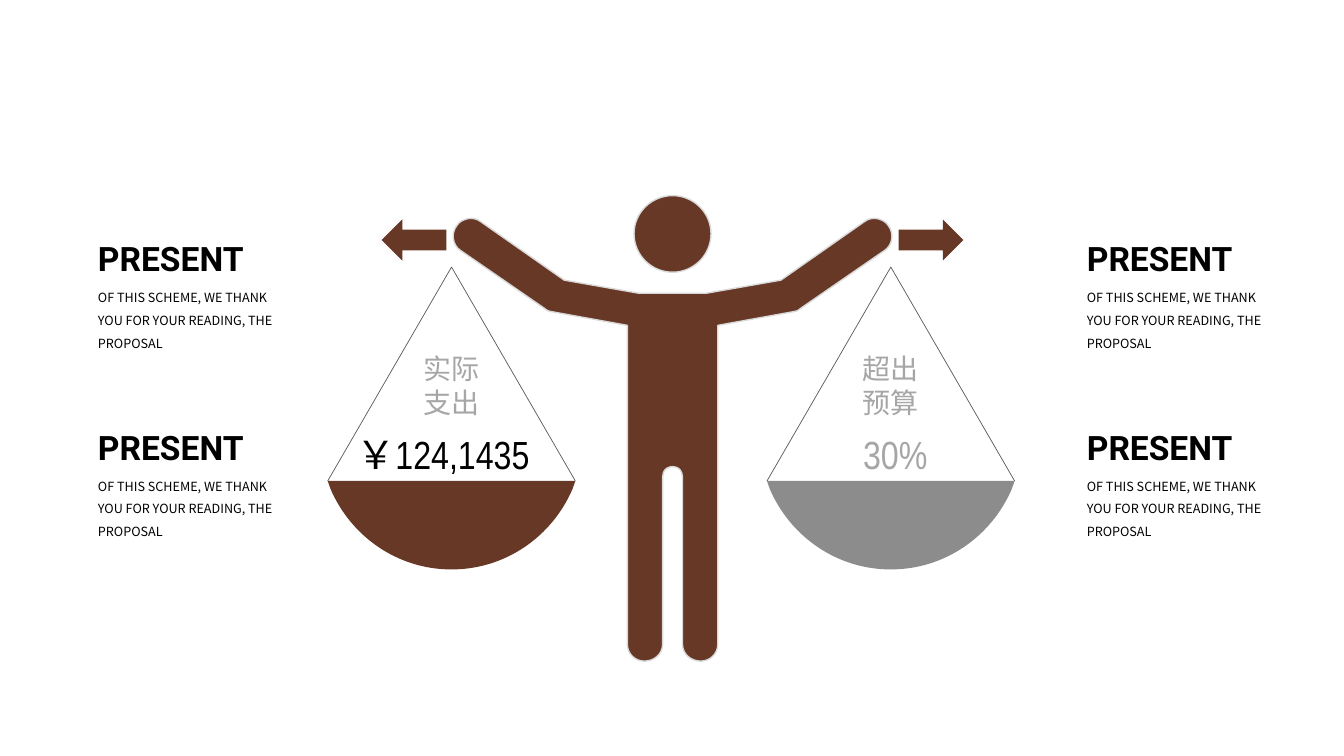
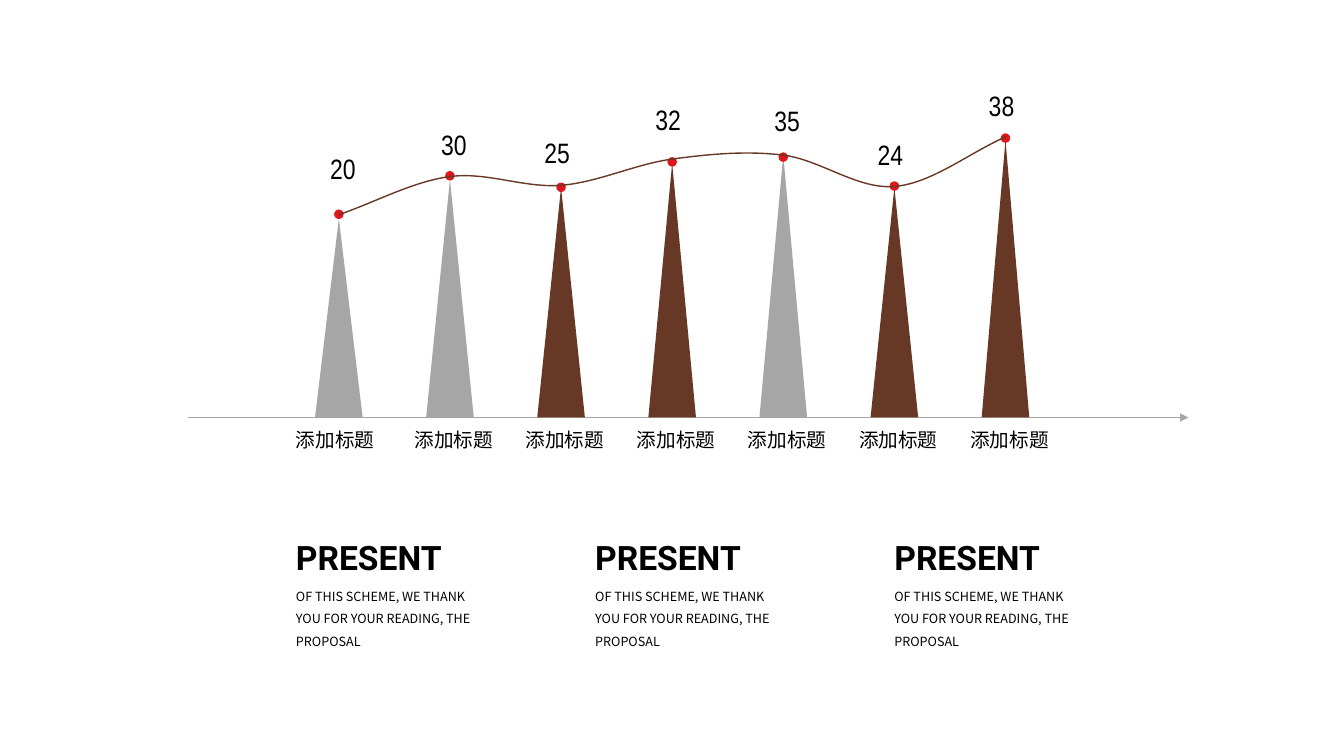
from dataclasses import dataclass
from typing import Optional

from lxml.etree import SubElement
from pptx import Presentation
from pptx.dml.color import RGBColor
from pptx.enum.shapes import MSO_CONNECTOR, MSO_SHAPE
from pptx.enum.text import MSO_AUTO_SIZE, PP_ALIGN
from pptx.oxml.ns import qn
from pptx.shapes.autoshape import Shape
from pptx.slide import Slide
from pptx.util import Cm, Pt

Point = tuple[float, float]
Segment = tuple[Point, ...]  # one point: straight line; three points: cubic curve
Contour = list[Segment]


@dataclass(frozen=True)
class Theme:
    brown: RGBColor = RGBColor(0x66, 0x38, 0x25)
    grey: RGBColor = RGBColor(0xA6, 0xA6, 0xA6)
    pan_grey: RGBColor = RGBColor(0x8C, 0x8C, 0x8C)
    outline: RGBColor = RGBColor(0xD9, 0xD9, 0xD9)
    string: RGBColor = RGBColor(0x59, 0x59, 0x59)
    red: RGBColor = RGBColor(0xDE, 0x17, 0x1E)
    black: RGBColor = RGBColor(0, 0, 0)
    heading_font: str = "Roboto"
    name_font: str = "Roboto Condensed"
    body_font: str = "Noto Sans CJK SC"
    number_font: str = "Arial Narrow"
    amount_size: int = 28
    heading_size: int = 24
    name_size: int = 20
    value_size: int = 20
    caption_size: int = 14
    body_size: int = 9


THEME = Theme()


@dataclass(frozen=True)
class TextStyle:
    font: str
    size: int
    color: RGBColor = THEME.black
    bold: bool = False
    align: PP_ALIGN = PP_ALIGN.CENTER
    line_spacing: float = 1.0
    wrap: bool = True


HEADING = TextStyle(THEME.heading_font, THEME.heading_size, bold=True,
                    align=PP_ALIGN.LEFT, wrap=False)
BODY = TextStyle(THEME.body_font, THEME.body_size, align=PP_ALIGN.LEFT, line_spacing=1.5)
NAME = TextStyle(THEME.name_font, THEME.name_size, THEME.grey)
BLACK_AMOUNT = TextStyle(THEME.number_font, THEME.amount_size)
GREY_AMOUNT = TextStyle(THEME.number_font, THEME.amount_size, THEME.grey)
VALUE = TextStyle(THEME.number_font, THEME.value_size)
CAPTION = TextStyle(THEME.body_font, THEME.caption_size)


@dataclass(frozen=True)
class Pan:
    center: float
    color: RGBColor
    name: tuple[str, str]
    amount: str
    amount_left: float
    amount_width: float
    amount_style: TextStyle


@dataclass(frozen=True)
class Peak:
    value: int
    color: RGBColor
    top: float
    dot: float
    trend: float
    value_top: float
    caption_shift: float = 0.1


MIDDLE = 16.95
ARM_REACH = 5.7
PAN_TOP = 12.12
PAN_HALF = 3.12

# Right halves, measured from the vertical middle line and ending on it.
BODY_HALF: Contour = [
    ((0.85, 7.39),), ((2.73, 7.06),), ((4.83, 5.59),),
    ((4.93, 5.51), (5.05, 5.49), (5.16, 5.51)),
    ((5.28, 5.54), (5.38, 5.59), (5.44, 5.69)),
    ((5.59, 5.89), (5.54, 6.17), (5.36, 6.3)),
    ((3.23, 7.77),),
    ((3.18, 7.82), (3.12, 7.85), (3.07, 7.85)),
    ((1.14, 8.2),), ((1.14, 16.23),),
    ((1.14, 16.48), (0.94, 16.66), (0.71, 16.66)),
    ((0.46, 16.66), (0.25, 16.48), (0.25, 16.23)),
    ((0.25, 12.01),), ((0.23, 11.91),),
    ((0.2, 11.81), (0.1, 11.76), (0, 11.76)),
]
HEAD_HALF: Contour = [
    ((0, 4.93),),
    ((0.53, 4.93), (0.97, 5.36), (0.97, 5.89)),
    ((0.97, 6.43), (0.53, 6.86), (0, 6.86)),
]
PAN_HALF_OUTLINE: Contour = [
    ((PAN_HALF, PAN_TOP),), ((3.05, 12.32),),
    ((2.54, 13.51), (1.37, 14.35), (0, 14.35)),
]
PANS = [
    Pan(11.38, THEME.brown, ("实际", "支出"), "￥124,1435", 7.73, 6.86, BLACK_AMOUNT),
    Pan(22.45, THEME.pan_grey, ("超出", "预算"), "30%", 20.78, 3.56, GREY_AMOUNT),
]

AXIS_Y = 10.52
FIRST_PEAK = 8.54
PEAK_STEP = 2.8
PEAK_WIDTH = 1.2
DOT_SIZE = 0.24
LABEL_WIDTH = 2.6
PEAKS = [
    Peak(20, THEME.grey, 5.51, 5.4, 5.41, 3.73, -0.09),
    Peak(30, THEME.grey, 4.52, 4.43, 4.45, 3.12),
    Peak(25, THEME.brown, 4.72, 4.72, 4.67, 3.31),
    Peak(32, THEME.brown, 4.11, 4.08, 4.01, 2.49),
    Peak(35, THEME.grey, 3.91, 3.96, 3.91, 2.51),
    Peak(24, THEME.brown, 4.72, 4.69, 4.7, 3.36),
    Peak(38, THEME.brown, 3.53, 3.48, 3.45, 2.12),
]


def mirrored(half: Contour, center: float) -> Contour:
    """Complete a right half with its reflection about the center line."""
    whole = list(half)
    for before, segment in reversed(list(zip(half, half[1:]))):
        backwards = (*reversed(segment[:-1]), before[-1])
        whole.append(tuple((-x, y) for x, y in backwards))
    return [tuple((center + x, y) for x, y in segment) for segment in whole]


def smooth_curve(knots: list[Point]) -> Contour:
    """Run a Catmull-Rom curve through evenly spaced knots."""
    heights = [y for _, y in knots]
    heights = [2 * heights[0] - heights[1], *heights, 2 * heights[-1] - heights[-2]]
    slopes = [(after - before) / 6 for before, after in zip(heights, heights[2:])]
    contour: Contour = [(knots[0],)]
    for index, ((x0, y0), (x1, y1)) in enumerate(zip(knots, knots[1:])):
        third = (x1 - x0) / 3
        contour.append((
            (x0 + third, y0 + slopes[index]),
            (x1 - third, y1 - slopes[index + 1]),
            (x1, y1),
        ))
    return contour


def paint(shape: Shape, fill: Optional[RGBColor], line: Optional[RGBColor] = None,
          width: float = 1) -> None:
    shape.shadow.inherit = False
    if fill is None:
        shape.fill.background()
    else:
        shape.fill.solid()
        shape.fill.fore_color.rgb = fill
    if line is None:
        shape.line.fill.background()
    else:
        shape.line.color.rgb = line
        shape.line.width = Pt(width)


def bend(shape: Shape, segments: list[Segment]) -> None:
    """Merge the three straight steps of every curve segment into one cubic curve."""
    steps = iter(list(shape._element.iter(qn("a:lnTo"))))
    for segment in segments:
        first, *others = [next(steps) for _ in segment]
        if others:
            first.tag = qn("a:cubicBezTo")
        for step in others:
            first.append(step[0])
            step.getparent().remove(step)


def add_outline(page: Slide, contours: list[Contour], fill: Optional[RGBColor],
                line: Optional[RGBColor] = None, width: float = 1) -> None:
    """Draw a freeform, closed when it is filled."""
    start_x, start_y = contours[0][0][0]
    builder = page.shapes.build_freeform(Cm(start_x), Cm(start_y))
    for index, contour in enumerate(contours):
        if index:
            x, y = contour[0][0]
            builder.move_to(Cm(x), Cm(y))
        corners = [(Cm(x), Cm(y)) for segment in contour[1:] for x, y in segment]
        builder.add_line_segments(corners, close=fill is not None)
    shape = builder.convert_to_shape()
    bend(shape, [segment for contour in contours for segment in contour[1:]])
    paint(shape, fill, line, width)


def add_preset(page: Slide, kind: MSO_SHAPE, left: float, top: float, width: float,
               height: float, fill: RGBColor) -> None:
    paint(page.shapes.add_shape(kind, Cm(left), Cm(top), Cm(width), Cm(height)), fill)


def add_text(page: Slide, lines: tuple[str, ...], left: float, top: float, width: float,
             height: float, style: TextStyle, insets: Point = (0.25, 0.13)) -> None:
    box = page.shapes.add_textbox(Cm(left), Cm(top), Cm(width), Cm(height))
    frame = box.text_frame
    frame.word_wrap = style.wrap
    frame.auto_size = MSO_AUTO_SIZE.SHAPE_TO_FIT_TEXT
    frame.margin_left = frame.margin_right = Cm(insets[0])
    frame.margin_top = frame.margin_bottom = Cm(insets[1])
    for index, line in enumerate(lines):
        para = frame.add_paragraph() if index else frame.paragraphs[0]
        para.alignment = style.align
        para.line_spacing = style.line_spacing
        span = para.add_run()
        span.text = line
        span.font.name = style.font
        span.font.size = Pt(style.size)
        span.font.bold = style.bold
        span.font.color.rgb = style.color
        SubElement(span.font._element, qn("a:ea"), typeface=THEME.body_font)


def add_message(page: Slide, left: float, top: float) -> None:
    add_text(page, ("PRESENT",), left, top, 4.55, 1.27, HEADING)
    add_text(page, ("OF THIS SCHEME, WE THANK YOU FOR YOUR READING, THE PROPOSAL",),
             left, top + 1.12, 5.36, 1.42, BODY)


def add_pan(page: Slide, pan: Pan) -> None:
    add_outline(page, [mirrored(PAN_HALF_OUTLINE, pan.center)], pan.color)
    string: Contour = [((pan.center - PAN_HALF, PAN_TOP),), ((pan.center, 6.73),),
                       ((pan.center + PAN_HALF, PAN_TOP),)]
    add_outline(page, [string], None, THEME.string, 0.5)
    add_text(page, (pan.amount,), pan.amount_left, 10.72, pan.amount_width, 1.45,
             pan.amount_style)
    add_text(page, pan.name, pan.center - 1.84, 8.73, 3.68, 1.96, NAME)


def add_axis(page: Slide) -> None:
    axis = page.shapes.add_connector(
        MSO_CONNECTOR.STRAIGHT, Cm(4.73), Cm(AXIS_Y), Cm(29.95), Cm(AXIS_Y))
    axis.line.color.rgb = THEME.grey
    axis.line.width = Pt(0.5)
    SubElement(axis.line._get_or_add_ln(), qn("a:tailEnd"), type="triangle")
    SubElement(axis._element.spPr, qn("a:effectLst"))


def add_peak(page: Slide, peak: Peak, center: float) -> None:
    insets = (0.18, 0.1)
    add_preset(page, MSO_SHAPE.ISOSCELES_TRIANGLE, center - PEAK_WIDTH / 2, peak.top,
               PEAK_WIDTH, AXIS_Y - peak.top, peak.color)
    label_left = center - LABEL_WIDTH / 2
    add_text(page, ("添加标题",), label_left + peak.caption_shift, 10.69,
             LABEL_WIDTH, 0.79, CAPTION, insets)
    value_shift = 0.1 if peak.color == THEME.grey else -0.1
    add_text(page, (str(peak.value),), label_left + value_shift, peak.value_top,
             LABEL_WIDTH, 1.04, VALUE, insets)
    add_preset(page, MSO_SHAPE.OVAL, center - DOT_SIZE / 2, peak.dot - DOT_SIZE / 2,
               DOT_SIZE, DOT_SIZE, THEME.red)


def build_balance(page: Slide) -> None:
    person = [mirrored(half, MIDDLE) for half in (BODY_HALF, HEAD_HALF)]
    add_outline(page, person, THEME.brown, THEME.outline)
    for pan in PANS:
        add_pan(page, pan)
    arrow = 1.63
    for kind, left in ((MSO_SHAPE.RIGHT_ARROW, MIDDLE + ARM_REACH),
                       (MSO_SHAPE.LEFT_ARROW, MIDDLE - ARM_REACH - arrow)):
        add_preset(page, kind, left, 5.53, arrow, 1.04, THEME.brown)
    for left in (2.22, 27.14):
        for top in (5.87, 10.62):
            add_message(page, left, top)


def build_peaks(page: Slide) -> None:
    add_axis(page)
    centers = [FIRST_PEAK + PEAK_STEP * index for index in range(len(PEAKS))]
    for peak, center in zip(PEAKS, centers):
        add_peak(page, peak, center)
    knots = [(center, peak.trend) for peak, center in zip(PEAKS, centers)]
    add_outline(page, [smooth_curve(knots)], None, THEME.brown)
    for column in range(3):
        add_message(page, 7.21 + 7.54 * column, 13.39)


def main() -> None:
    deck = Presentation()
    deck.slide_width, deck.slide_height = Cm(33.87), Cm(19.05)
    blank = deck.slide_layouts[6]
    for build in (build_balance, build_peaks):
        build(deck.slides.add_slide(blank))
    deck.save("out.pptx")


if __name__ == "__main__":
    main()
